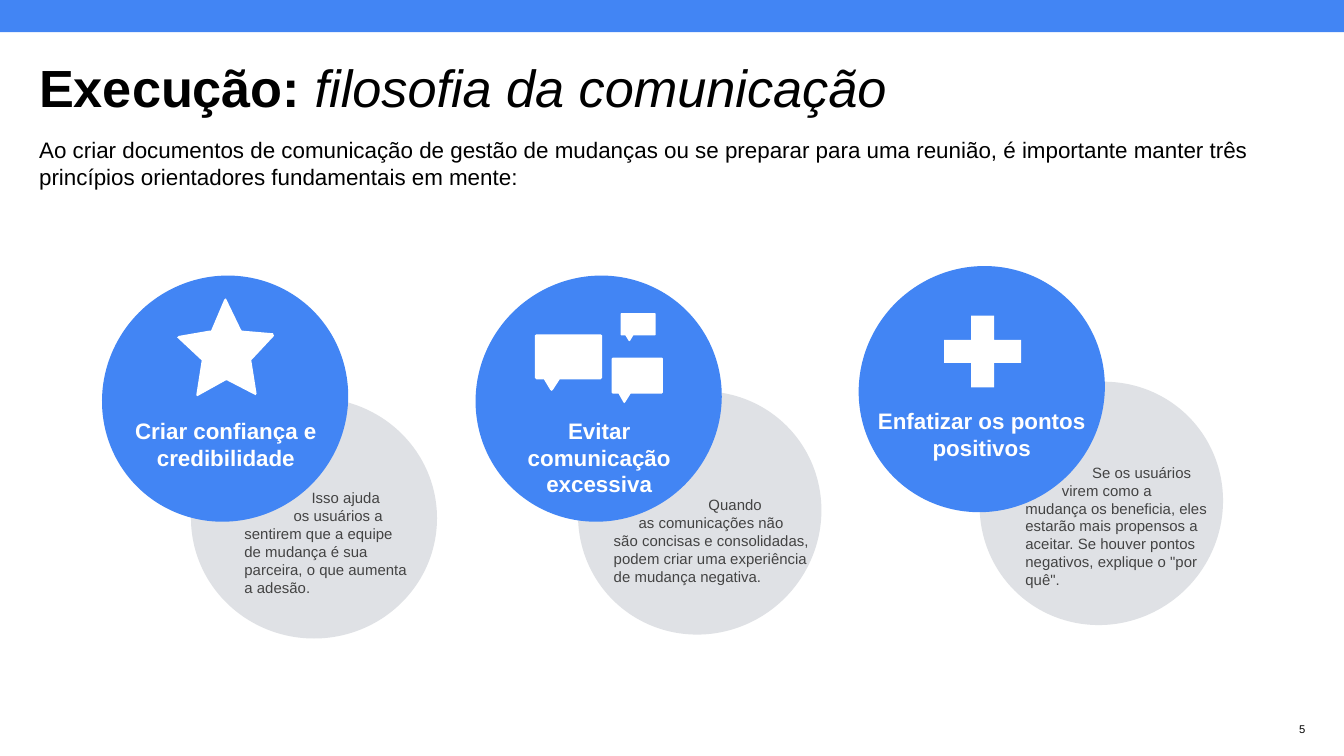
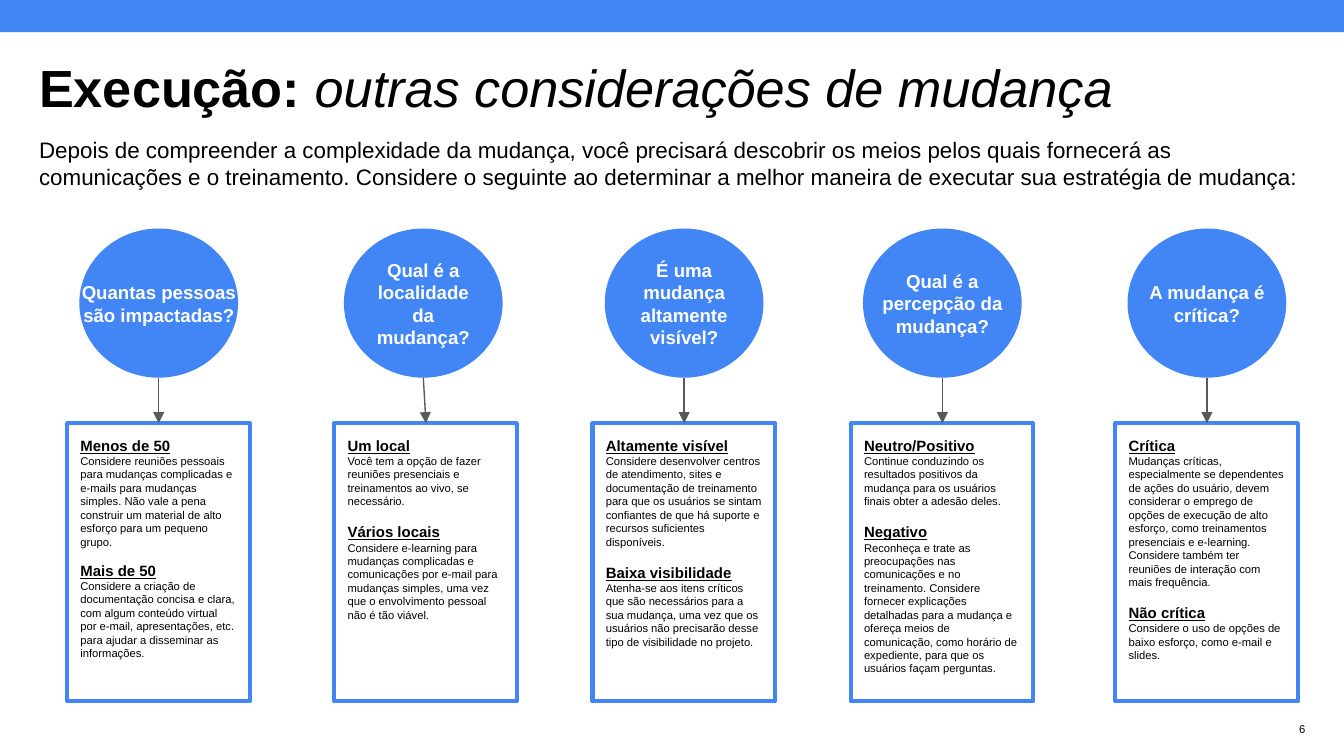
from lxml import etree
from pptx import Presentation
from pptx.dml.color import RGBColor
from pptx.enum.shapes import MSO_CONNECTOR, MSO_SHAPE
from pptx.enum.text import MSO_ANCHOR, PP_ALIGN
from pptx.oxml.ns import qn
from pptx.util import Cm, Pt

OVAL, RECT, PLUS = MSO_SHAPE.OVAL, MSO_SHAPE.RECTANGLE, MSO_SHAPE.MATH_PLUS
LINE = MSO_CONNECTOR.STRAIGHT
LEFT, MID, RIGHT = PP_ALIGN.LEFT, PP_ALIGN.CENTER, PP_ALIGN.RIGHT
TOP, HALF = MSO_ANCHOR.TOP, MSO_ANCHOR.MIDDLE
FONT = "Arial"
BLUE, PALE, WHITE, BLACK = "4285F4", "DFE1E5", "FFFFFF", "000000"
DARK, GREY = "434343", "595959"
hue = RGBColor.from_string


def paint(shape, fill=None, edge=None, width=1.5):
    shape.shadow.inherit = False
    if fill:
        shape.fill.solid()
        shape.fill.fore_color.rgb = hue(fill)
    else:
        shape.fill.background()
    if edge:
        shape.line.color.rgb = hue(edge)
        shape.line.width = Pt(width)
    else:
        shape.line.fill.background()
    return shape


def write(shape, rows, size, color, bold=False, align=LEFT, anchor=TOP, pad=(0.25, 0.13)):
    frame = shape.text_frame
    frame.word_wrap = True
    frame.vertical_anchor = anchor
    frame.margin_left = frame.margin_right = Cm(pad[0])
    frame.margin_top = frame.margin_bottom = Cm(pad[1])
    for i, row in enumerate(rows):
        para = frame.add_paragraph() if i else frame.paragraphs[0]
        para.add_run().text = row
        para.alignment = align
        font = para.font
        font.name, font.size, font.bold = FONT, Pt(size), bold
        font.color.rgb = hue(color)
    return frame.paragraphs


deck = Presentation()
deck.slide_width, deck.slide_height = Cm(25.4), Cm(14.29)

pages = [
    ("filosofia da comunicação", "5",
     "Ao criar documentos de comunicação de gestão de mudanças ou se preparar para uma reunião, "
     "é importante manter três princípios orientadores fundamentais em mente:"),
    ("outras considerações de mudança", "6",
     "Depois de compreender a complexidade da mudança, você precisará descobrir os meios pelos quais "
     "fornecerá as comunicações e o treinamento. Considere o seguinte ao determinar a melhor maneira "
     "de executar sua estratégia de mudança:"),
]
slides = []
for topic, num, intro in pages:
    slide = deck.slides.add_slide(deck.slide_layouts[6])
    slides.append(slide.shapes)
    add = slide.shapes.add_textbox
    paint(slide.shapes.add_shape(RECT, 0, 0, Cm(25.4), Cm(0.61)), BLUE)
    title = add(Cm(0.74), Cm(1.14), Cm(23.9), Cm(1.14))
    para = write(title, ["Execução: "], 28, BLACK, pad=(0, 0.13))[0]
    para.line_spacing = 0.8
    para.runs[0].font.bold = True
    run = para.add_run()
    run.text = topic
    run.font.italic = True
    write(add(Cm(0.74), Cm(2.57), Cm(23.9), Cm(1.32)), [intro], 12, BLACK, pad=(0, 0))
    write(add(Cm(24.21), Cm(13.61), Cm(0.46), Cm(0.33)), [num], 6, BLACK,
          align=RIGHT, anchor=HALF, pad=(0, 0.13))

ideas = [
    ("Criar confiança e credibilidade", (1.93, 5.26), (2.06, 7.75, 4.42, 1.85),
     (3.61, 7.52), 0, (4.37, 8.99, 3.68, 3.45),
     [("Isso ajuda", 1.27),
      ("os usuários a sentirem que a equipe de mudança é sua parceira, o que aumenta a adesão.", 0.93)]),
    ("Evitar comunicação excessiva", (8.99, 5.26), (9.37, 7.75, 3.91, 1.37),
     (10.9, 7.42), 315, (11.35, 9.12, 4.24, 3.45),
     [("Quando", 1.79),
      ("as comunicações não são concisas e consolidadas, podem criar uma experiência "
       "de mudança negativa.", 0.47)]),
    ("Enfatizar os pontos positivos", (16.23, 5.08), (15.85, 7.57, 5.41, 1.85),
     (18.49, 7.24), 315, (19.13, 8.51, 3.99, 3.45),
     [("Se os usuários", 1.26),
      ("virem como a mudança os beneficia, eles estarão mais propensos a aceitar. "
       "Se houver pontos negativos, explique o \"por quê\".", 0.69)]),
]
art = slides[0]
for head, front, label, back, turn, note, rows in ideas:
    for spot, angle, fill, edge in ((back, turn, PALE, None), (front, 315, BLUE, BLUE)):
        disc = art.add_shape(OVAL, *map(Cm, spot), Cm(4.65), Cm(4.55))
        disc.rotation = angle
        paint(disc, fill, edge)
    write(art.add_textbox(*map(Cm, label)), [head], 12, WHITE, True, MID)
    paras = write(art.add_textbox(*map(Cm, note)), [row[0] for row in rows], 8, DARK, pad=(0.25, 0.25))
    for para, (words, shift) in zip(paras, rows):
        para._p.get_or_add_pPr().set("indent", str(Cm(shift)))

star = [(427, 564), (424, 566), (399, 625), (396, 625), (338, 635), (335, 638), (381, 681),
        (381, 683), (371, 747), (373, 749), (427, 719), (429, 719), (483, 747), (485, 744),
        (475, 681), (518, 635), (516, 630), (457, 625), (455, 622)]
bubble = [(0.02, 0), (0.98, 0), (1, 0.02), (1, 0.77), (0.98, 0.79), (0.37, 0.79), (0.27, 0.98),
          (0.25, 1), (0.23, 0.98), (0.13, 0.79), (0.02, 0.79), (0, 0.77), (0, 0.02)]
icons = [star]
for x, y, w, h in ((1011, 632, 127, 107), (1156, 676, 97, 86), (1173, 592, 66, 53)):
    icons.append([(round(x + w * u), round(y + h * v)) for u, v in bubble])
for points in icons:
    path = art.build_freeform(*points[0], scale=Cm(0.01))
    path.add_line_segments(points[1:])
    paint(path.convert_to_shape(), WHITE)
plus = paint(art.add_shape(PLUS, Cm(17.58), Cm(5.72), Cm(1.98), Cm(1.85)), WHITE)
plus.adjustments[0] = 0.235

cases = [
    ("Quantas pessoas são impactadas?", 1.5, 3.45, 1.27, 7,
     ["Menos de 50",
      "Considere reuniões pessoais para mudanças complicadas e e-mails para mudanças simples. "
      "Não vale a pena construir um material de alto esforço para um pequeno grupo.",
      "Mais de 50",
      "Considere a criação de documentação concisa e clara, com algum conteúdo virtual por e-mail, "
      "apresentações, etc. para ajudar a disseminar as informações."]),
    ("Qual é a localidade da mudança?", 6.5, 2.64, 6.32, 8,
     ["Um local",
      "Você tem a opção de fazer reuniões presenciais e treinamentos ao vivo, se necessário.",
      "Vários locais",
      "Considere e-learning para mudanças complicadas e comunicações por e-mail para mudanças "
      "simples, uma vez que o envolvimento pessoal não é tão viável."]),
    ("É uma mudança altamente visível?", 11.43, 2.64, 11.2, 8,
     ["Altamente visível",
      "Considere desenvolver centros de atendimento, sites e documentação de treinamento para que "
      "os usuários se sintam confiantes de que há suporte e recursos suficientes disponíveis.",
      "Baixa visibilidade",
      "Atenha-se aos itens críticos que são necessários para a sua mudança, uma vez que os usuários "
      "não precisarão desse tipo de visibilidade no projeto."]),
    ("Qual é a percepção da mudança?", 16.31, 2.82, 16.08, 8,
     ["Neutro/Positivo",
      "Continue conduzindo os resultados positivos da mudança para os usuários finais obter a "
      "adesão deles.",
      "Negativo",
      "Reconheça e trate as preocupações nas comunicações e no treinamento. Considere fornecer "
      "explicações detalhadas para a mudança e ofereça meios de comunicação, como horário de "
      "expediente, para que os usuários façam perguntas."]),
    ("A mudança é crítica?", 21.31, 3.1, 21.08, 8,
     ["Crítica",
      "Mudanças críticas, especialmente se dependentes de ações do usuário, devem considerar o "
      "emprego de opções de execução de alto esforço, como treinamentos presenciais e e-learning. "
      "Considere também ter reuniões de interação com mais frequência.",
      "Não crítica",
      "Considere o uso de opções de baixo esforço, como e-mail e slides."]),
]
art = slides[1]
for ask, left, wide, edge, gap, rows in cases:
    mid = left + 1.5
    paint(art.add_shape(OVAL, Cm(left), Cm(4.32), Cm(3), Cm(2.82)), BLUE)
    label = art.add_textbox(Cm(mid - wide / 2), Cm(4.72), Cm(wide), Cm(2.03))
    write(label, [ask], 10, WHITE, True, MID, HALF)
    card = paint(art.add_shape(RECT, Cm(edge), Cm(8), Cm(3.45), Cm(5.26)), None, BLUE, 2.25)
    paras = write(card, rows, 6, BLACK, pad=(0.25, 0.25))
    for para in paras[::2]:
        para.font.size = Pt(8)
        para.font.bold = para.font.underline = True
    paras[2].space_before = Pt(gap)
    arrow = art.add_connector(LINE, Cm(mid), Cm(7.14), Cm(edge + 1.73), Cm(8))
    arrow.line.color.rgb = hue(GREY)
    arrow.line.width = Pt(0.75)
    etree.SubElement(arrow.line._get_or_add_ln(), qn("a:tailEnd")).set("type", "triangle")
    etree.SubElement(arrow._element.spPr, qn("a:effectLst"))

deck.save("out.pptx")
